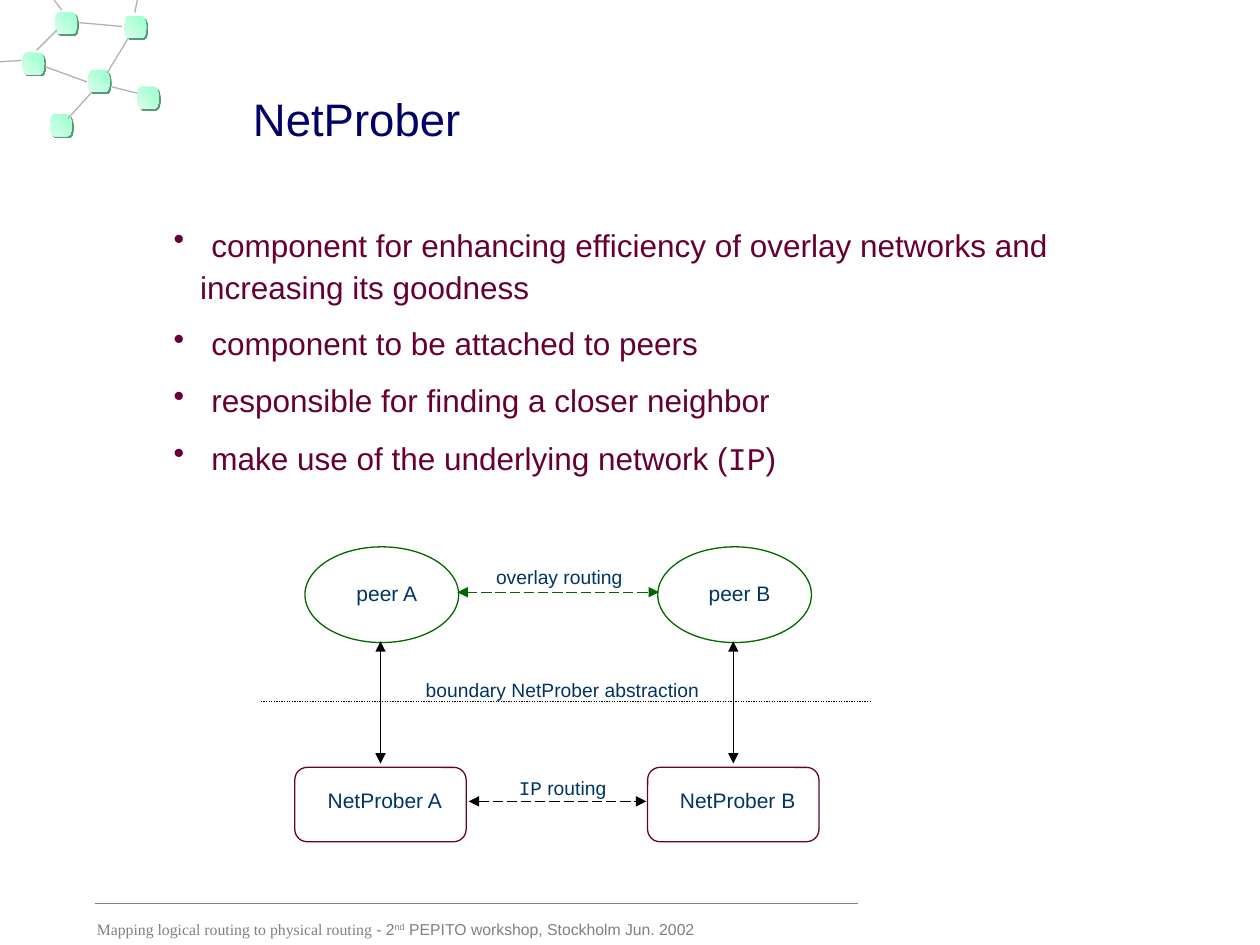
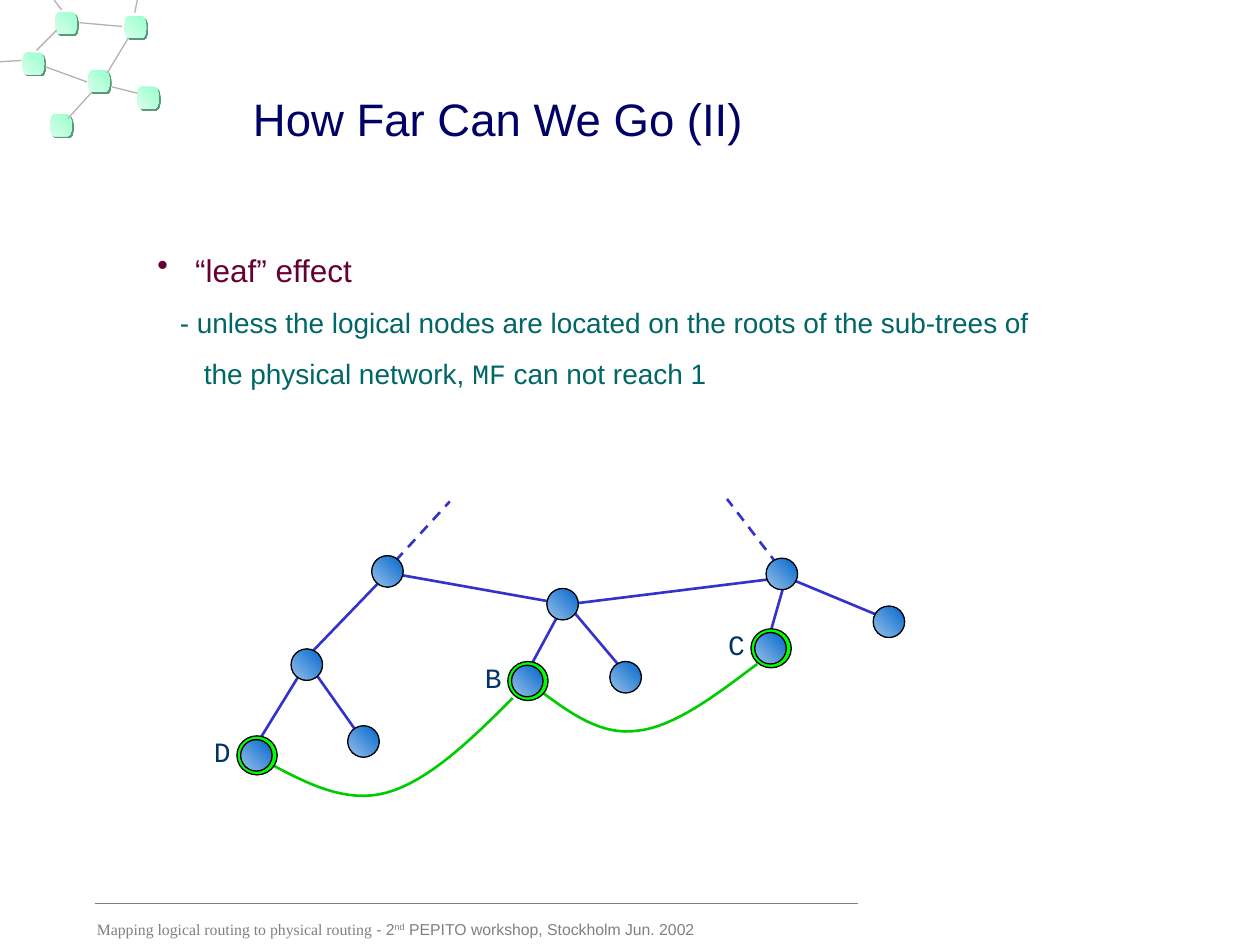
from lxml import etree
from pptx import Presentation
from pptx import util as u
from pptx.dml.color import RGBColor
from pptx.enum import dml, shapes, text
from pptx.oxml import ns

SCALE = 9144  # EMU per px, 100 px to the inch
COLORS = {
    "title": "000066", "point": "660033", "detail": "006666", "label": "003366",
    "grey": "808080", "thread": "B2B2B2", "black": "000000", "peer": "006600",
    "edge": "3333CC", "overlay": "00CC00", "ring": "00FF00",
    "mint": "99FFCC", "mint_light": "D8FEEB", "mint_shadow": "5B9879",
    "blue": "0066CC", "blue_light": "9AC2EA",
}
SANS, MONO, SERIF = "Arial", "Courier New", "Times New Roman"
DASH = dml.MSO_LINE

FOOTER = [("Mapping logical routing to physical routing", SERIF), " - 2",
          ("nd", SANS, True), " PEPITO workshop, Stockholm Jun. 2002"]

# Corner network: node positions and the threads between them
CORNER_NODES = [(18, 42), (70, 56), (99, 13), (44, 10), (109, 69), (40, 91)]
CORNER_THREADS = [
    (36, 53, 69, 65), (54, 94, 73, 73), (85, 58, 102, 30), (89, 69, 109, 74),
    (17, 48, 0, 49), (63, 18, 97, 21), (29, 40, 45, 24), (107, 10, 109, 0),
    (49, 8, 43, 0),
]

# Physical tree: edges, dashed edges to the rest of the tree, nodes
TREE_EDGES = [
    (442, 490, 422, 527), (631, 461, 696, 488), (612, 500, 622, 465),
    (456, 479, 609, 460), (454, 484, 492, 529), (316, 456, 434, 477),
    (249, 516, 300, 463), (284, 582, 250, 534), (206, 587, 238, 535),
]
TREE_STUBS = [(617, 448, 577, 396), (314, 445, 357, 398)]
TREE_NODES = [(231, 515), (276, 576), (295, 441), (434, 467), (484, 525),
              (608, 443), (693, 481)]
LOGICAL_NODES = {"D": (191, 587), "B": (406, 528), "C": (599, 502)}
OVERLAY_CURVES = [
    [(431, 550), (454, 567), (478, 584), (506, 580),
     (535, 577), (568, 552), (601, 527)],
    [(214, 606), (244, 622), (275, 638), (307, 629),
     (340, 620), (374, 587), (407, 554)],
]


def px(length):
    return u.Emu(round(length * SCALE))


def rgb(name):
    return RGBColor.from_string(COLORS[name])


def add_xml(parent, tag, **attributes):
    return etree.SubElement(parent, ns.qn(tag), attributes)


def cubic(start, first, second, end, steps=16):
    """Points along one cubic curve, after its start."""
    for step in range(1, steps + 1):
        t = step / steps
        yield tuple((1 - t) ** 3 * a + 3 * (1 - t) ** 2 * t * b
                    + 3 * (1 - t) * t ** 2 * c + t ** 3 * d
                    for a, b, c, d in zip(start, first, second, end))


class Painter:
    def __init__(self):
        self.deck = Presentation()
        self.deck.slide_width, self.deck.slide_height = px(1000), px(750)
        self.page = None

    def new_page(self, title):
        self.page = self.deck.slides.add_slide(self.deck.slide_layouts[6])
        for left, top in CORNER_NODES:
            self.corner_node(left, top)
        for ends in CORNER_THREADS:
            self.line(*ends, "thread")
        self.text((191, 67, 653, 54), [self.para([title], 26, "title")])
        self.line(75, 717, 681, 717, "grey")
        self.text((67, 725, 590, 25), [self.para(FOOTER, 9, "grey")])

    def para(self, spans, size, color, **options):
        return dict(spans=spans, size=size, color=color, **options)

    def point(self, *spans, **options):
        return self.para(spans, 18, "point", indent=30, bullet=True,
                         before=11.2, **options)

    def text(self, area, paras, align=text.PP_ALIGN.LEFT):
        frame = self.page.shapes.add_textbox(*map(px, area)).text_frame
        frame.word_wrap = True
        for index, item in enumerate(paras):
            para = frame.add_paragraph() if index else frame.paragraphs[0]
            para.alignment = align
            if index:
                para.space_before = u.Pt(item.get("before", 0))
            if "spacing" in item:
                para.line_spacing = item["spacing"]
            self.indent(para, item)
            for part in item["spans"]:
                self.span(para, part, item)

    def indent(self, para, item):
        indent, props = px(item.get("indent", 0)), para._p.get_or_add_pPr()
        props.set("marL", str(indent))
        if item.get("bullet"):
            props.set("indent", str(-indent))
            color = add_xml(props, "a:buClr")
            add_xml(color, "a:srgbClr", val=COLORS[item["color"]])
            add_xml(props, "a:buChar", char="•")

    def span(self, para, part, item):
        words, font, raised = (part, SANS) + (False,) if isinstance(part, str) \
            else (tuple(part) + (False,))[:3]
        span = para.add_run()
        span.text = words
        span.font.name, span.font.size = font, u.Pt(item["size"])
        span.font.color.rgb = rgb(item["color"])
        if raised:
            span._r.get_or_add_rPr().set("baseline", "30000")

    def label(self, area, *spans, size=12):
        self.text(area, [self.para(spans, size, "label")], text.PP_ALIGN.CENTER)

    def shape(self, kind, area, line=None, fill=None, fade=None):
        shape = self.page.shapes.add_shape(kind, *map(px, area))
        self.finish(shape, line, fill, fade)
        return shape

    def finish(self, shape, line=None, fill=None, fade=None, weight=0.75):
        shape.shadow.inherit = False
        if fade:
            shape.fill.gradient()
            shape.fill.gradient_angle = 225
            for stop, color in zip(shape.fill.gradient_stops, fade):
                stop.color.rgb = rgb(color)
        elif fill:
            shape.fill.solid()
            shape.fill.fore_color.rgb = rgb(fill)
        else:
            shape.fill.background()
        if line:
            shape.line.color.rgb = rgb(line)
            shape.line.width = u.Pt(weight)
        else:
            shape.line.fill.background()

    def corner_node(self, left, top):
        node = self.shape(shapes.MSO_SHAPE.FLOWCHART_DIRECT_ACCESS_STORAGE,
                          (left, top, 17, 17), fade=("mint", "mint_light"))
        effects = node._element.spPr.find(ns.qn("a:effectLst"))
        shadow = add_xml(effects, "a:outerShdw", dist=str(u.Pt(1.4)),
                         dir="2700000", algn="ctr", rotWithShape="0")
        add_xml(shadow, "a:srgbClr", val=COLORS["mint_shadow"])

    def tree_node(self, left, top):
        self.shape(shapes.MSO_SHAPE.OVAL, (left, top, 25, 25), "black",
                   fade=("blue", "blue_light"))

    def line(self, x1, y1, x2, y2, color, weight=0.75, dash=None, arrows=False):
        line = self.page.shapes.add_connector(
            shapes.MSO_CONNECTOR.STRAIGHT, *map(px, (x1, y1, x2, y2)))
        line.line.color.rgb = rgb(color)
        line.line.width = u.Pt(weight)
        if dash:
            line.line.dash_style = dash
        if arrows:
            outline = line.line._get_or_add_ln()
            for end in ("a:headEnd", "a:tailEnd"):
                add_xml(outline, end, type="triangle")
        add_xml(line._element.spPr, "a:effectLst")

    def curve(self, points, color):
        builder = self.page.shapes.build_freeform(*map(px, points[0]))
        for first in range(0, len(points) - 1, 3):
            builder.add_line_segments(
                [tuple(map(px, spot)) for spot in cubic(*points[first:first + 4])],
                close=False)
        self.finish(builder.convert_to_shape(), color, weight=1.5)


def prober_page(paint):
    paint.new_page("NetProber")
    paint.text((128, 185, 776, 199), [
        paint.point("component for enhancing efficiency of overlay networks and",
                    spacing=0.6),
        paint.para(["increasing its goodness"], 18, "point", indent=21,
                   before=11.2, spacing=0.6),
        paint.point("component to be attached to peers"),
        paint.point("responsible for finding a closer neighbor"),
        paint.point("make use of the underlying network (", ("IP", MONO), ")"),
    ])

    # One column per peer, each above its prober
    for column, name in enumerate("AB"):
        shift = column * 280
        paint.shape(shapes.MSO_SHAPE.OVAL, (242 + shift, 434, 122, 76), "peer")
        paint.label((268 + shift, 456, 78, 30), f"peer {name}")
        paint.line(302 + shift, 509, 302 + shift, 606, "black", arrows=True)
        paint.shape(shapes.MSO_SHAPE.ROUNDED_RECTANGLE,
                    (234 + shift, 609, 136, 59), "point")
        paint.label((242 + shift, 620, 127, 30), f"NetProber {name}")

    # Routing between the columns and the boundary
    paint.line(363, 470, 523, 470, "peer", dash=DASH.LONG_DASH, arrows=True)
    paint.line(372, 636, 513, 636, "black", dash=DASH.LONG_DASH, arrows=True)
    paint.line(207, 557, 691, 557, "black", dash=DASH.ROUND_DOT)
    paint.label((322, 533, 249, 29), "boundary NetProber abstraction", size=11)
    paint.label((392, 611, 109, 29), ("IP", MONO), " routing", size=11)
    paint.label((381, 444, 126, 29), "overlay routing", size=11)


def leaf_page(paint):
    paint.new_page("How Far Can We Go (II)")
    paint.text((115, 194, 833, 121), [
        paint.point("“leaf” effect"),
        paint.para(["- unless the logical nodes are located on the roots of "
                    "the sub-trees of"], 16, "detail", indent=18, before=10),
        paint.para(["the physical network, ", ("MF", MONO), " can not reach 1"],
                   16, "detail", indent=37, before=10),
    ])

    # Tree edges and overlay links
    for ends in TREE_EDGES:
        paint.line(*ends, "edge", 1.5)
    for ends in TREE_STUBS:
        paint.line(*ends, "edge", 1.5, DASH.DASH)
    for points in OVERLAY_CURVES:
        paint.curve(points, "overlay")

    # Nodes, the logical ones ringed and named
    for left, top in TREE_NODES:
        paint.tree_node(left, top)
    for name, (left, top) in LOGICAL_NODES.items():
        paint.shape(shapes.MSO_SHAPE.OVAL, (left - 3, top - 3, 32, 31),
                    "black", "ring")
        paint.tree_node(left, top)
        paint.text((left - 31, top - 9, 37, 37),
                   [paint.para([(name, MONO)], 16, "label")])


def main():
    paint = Painter()
    prober_page(paint)
    leaf_page(paint)
    paint.deck.save("out.pptx")


if __name__ == "__main__":
    main()
